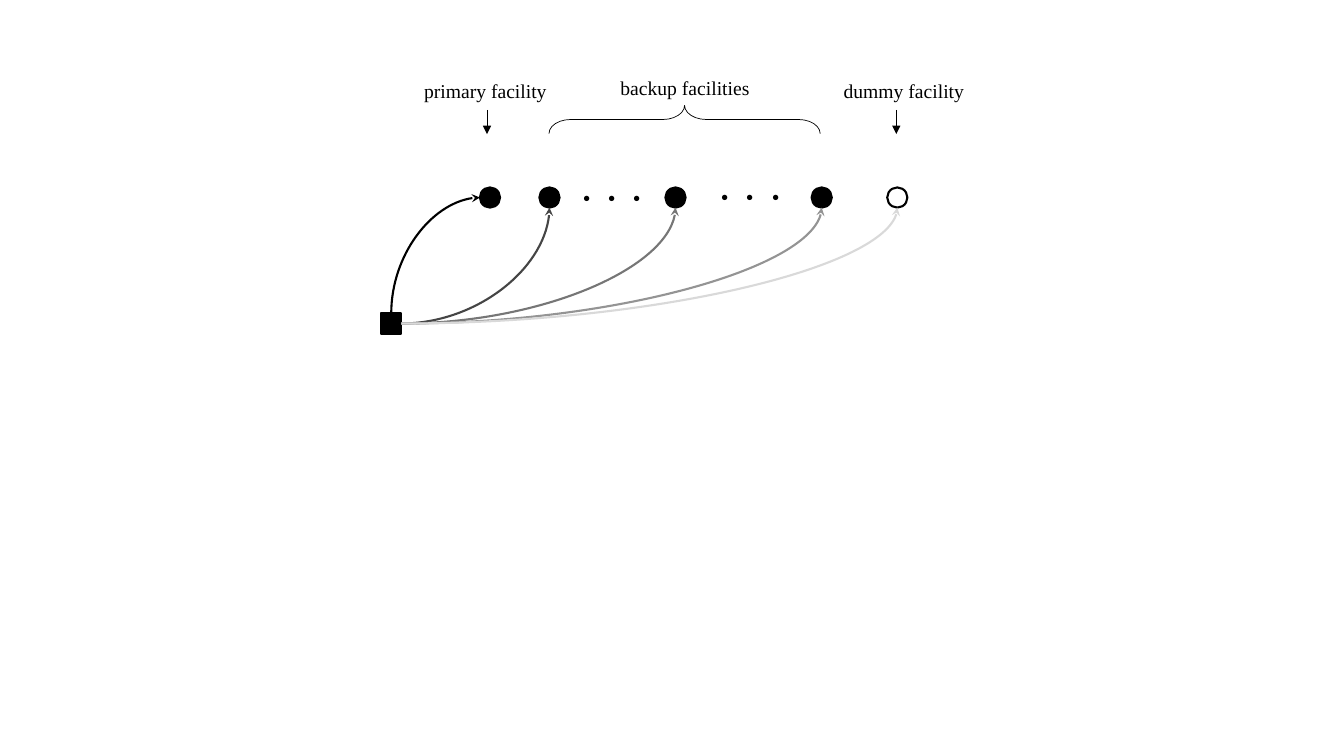
from pptx import Presentation
from pptx.dml.color import RGBColor
from pptx.enum.shapes import MSO_CONNECTOR, MSO_SHAPE
from pptx.enum.text import MSO_AUTO_SIZE, PP_ALIGN
from pptx.oxml.ns import qn
from pptx.util import Inches, Pt
from lxml import etree

DISC, BOX = MSO_SHAPE.FLOWCHART_CONNECTOR, MSO_SHAPE.FLOWCHART_PROCESS
BRACE = MSO_SHAPE.RIGHT_BRACE
LINE, CURVE = MSO_CONNECTOR.STRAIGHT, MSO_CONNECTOR.CURVE
LEFT, CENTER = PP_ALIGN.LEFT, PP_ALIGN.CENTER
FIT = MSO_AUTO_SIZE.SHAPE_TO_FIT_TEXT

THEME = {
    "ink": "000000", "paper": "FFFFFF",
    "font": "Times New Roman", "dots": "Noto Sans CJK SC",
    "label": 14, "dot": 18, "thick": 1.5, "thin": 0.5,
}
INK, THICK, THIN = THEME["ink"], THEME["thick"], THEME["thin"]

deck = Presentation()
deck.slide_width, deck.slide_height = Inches(13.33), Inches(7.5)
slide = deck.slides.add_slide(deck.slide_layouts[6])
shapes = slide.shapes


def write(text, x, y, w, h, font=THEME["font"], size=THEME["label"], align=CENTER):
    box = shapes.add_textbox(Inches(x), Inches(y), Inches(w), Inches(h))
    frame = box.text_frame
    frame.word_wrap, frame.auto_size = True, FIT
    para = frame.paragraphs[0]
    para.alignment = align
    run = para.add_run()
    run.text = text
    run.font.name, run.font.size = font, Pt(size)
    run.font.color.rgb = RGBColor.from_string(INK)
    east = etree.SubElement(run.font._element, qn("a:ea"))
    east.set("typeface", font)


def arrow(kind, start, end, color, width, head):
    """Draw a connector with an arrowhead at its end."""
    link = shapes.add_connector(kind, *map(Inches, start + end))
    link.line.color.rgb = RGBColor.from_string(color)
    link.line.width = Pt(width)
    props = link._element.spPr
    etree.SubElement(props.find(qn("a:ln")), qn("a:tailEnd")).set("type", head)
    etree.SubElement(props, qn("a:effectLst"))
    if kind == CURVE:
        props.find(qn("a:prstGeom")).set("prst", "curvedConnector2")
    return link


# Nodes: one customer and a row of facilities, placed by their centres
SIZE = 0.2
HALF = SIZE / 2
ROW = 1.96
USER = (3.88, 3.21)
FIRST, BACKUP, DUMMY = 4.86, (5.45, 6.7, 8.15), 8.9
nodes = [(BOX, *USER, INK), (DISC, FIRST, ROW, INK)]
nodes += [(DISC, x, ROW, INK) for x in BACKUP]
nodes += [(DISC, DUMMY, ROW, THEME["paper"])]
for kind, x, y, fill in nodes:
    node = shapes.add_shape(kind, Inches(x - HALF), Inches(y - HALF),
                            Inches(SIZE), Inches(SIZE))
    node.shadow.inherit = False
    node.fill.solid()
    node.fill.fore_color.rgb = RGBColor.from_string(fill)
    node.line.color.rgb = RGBColor.from_string(INK)
    node.line.width = Pt(THICK)

# The primary curve leaves upward, so its frame is turned a quarter
top, rim = USER[1] - HALF, FIRST - HALF
midx, midy = (USER[0] + rim) / 2, (top + ROW) / 2
dx, dy = (top - ROW) / 2, (rim - USER[0]) / 2
turn = arrow(CURVE, (midx + dx, midy + dy), (midx - dx, midy - dy),
             INK, THICK, "stealth")
turn._element.spPr.find(qn("a:xfrm")).set("rot", "5400000")

# Fading curves to the backups and the dummy
for x, shade in zip(BACKUP + (DUMMY,), ("454545", "767676", "949494", "D9D9D9")):
    arrow(CURVE, (USER[0] + HALF, USER[1]), (x, ROW + HALF), shade, THICK, "stealth")

for x in (4.83, 8.89):
    arrow(LINE, (x, 1.09), (x, 1.33), INK, THIN, "triangle")

brace = shapes.add_shape(BRACE, Inches(6.65), Inches(-0.16), Inches(0.28), Inches(2.69))
brace.rotation = 270
brace.adjustments[0], brace.adjustments[1] = 0.77, 0.5
brace.shadow.inherit = False
brace.fill.background()
brace.line.color.rgb = RGBColor.from_string(INK)
brace.line.width = Pt(THIN)

for x, y in ((5.6, 1.77), (6.97, 1.76)):
    write("···", x, y, 1, 0.4, font=THEME["dots"], size=THEME["dot"], align=LEFT)
for name, x, y in (("primary", 4.03, 0.73), ("dummy", 8.18, 0.73)):
    write(f"{name} facility", x, y, 1.57, 0.34)
write("backup facilities", 6.01, 0.7, 1.57, 0.34)

deck.save("out.pptx")
